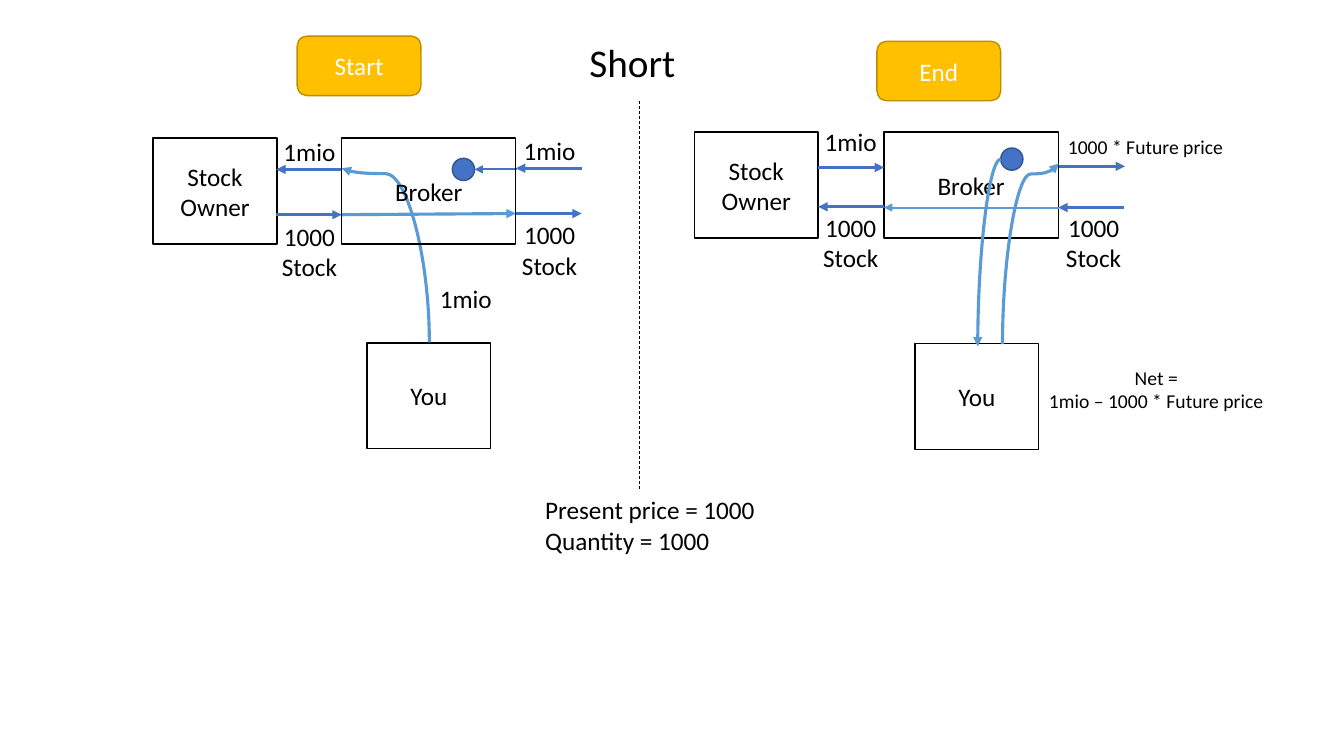
from lxml import etree
from pptx import Presentation
from pptx.dml.color import RGBColor
from pptx.enum.dml import MSO_LINE
from pptx.enum.shapes import MSO_CONNECTOR, MSO_SHAPE
from pptx.enum.text import MSO_ANCHOR, PP_ALIGN
from pptx.oxml.ns import qn
from pptx.util import Cm, Pt

RECT, ROUNDED, OVAL = MSO_SHAPE.RECTANGLE, MSO_SHAPE.ROUNDED_RECTANGLE, MSO_SHAPE.OVAL
STRAIGHT, CURVE = MSO_CONNECTOR.STRAIGHT, MSO_CONNECTOR.CURVE
LEFT, CENTER, MIDDLE = PP_ALIGN.LEFT, PP_ALIGN.CENTER, MSO_ANCHOR.MIDDLE
DASH = MSO_LINE.DASH
TITLE_ONLY = 5

COLORS = {
    "black": "000000", "white": "FFFFFF", "blue": "4472C4", "navy": "325491",
    "sky": "5B9BD5", "gold": "FFC000", "bronze": "BD8E00",
}

# All lengths below are centimetres.
PARTY_SIZE, BROKER_SIZE, BUTTON_SIZE = (3.12, 2.67), (4.39, 2.67), (3.12, 1.5)
DOT_SIZE = (0.56, 0.56)
LABEL_WIDTH = 2.24

TITLE = ("Short", 14.07, 0.84, 3.73, 1.45)
PARTIES = [  # text, left, top, size
    ("Stock Owner", 3.86, 3.48, PARTY_SIZE),
    ("You", 9.25, 8.64, PARTY_SIZE),
    ("Stock Owner", 17.5, 3.33, PARTY_SIZE),
    ("Broker", 22.28, 3.33, BROKER_SIZE),
    ("You", 23.06, 8.66, PARTY_SIZE),
]
START_BROKER = ("Broker", 8.61, 3.48, BROKER_SIZE)
BUTTONS = [("Start", 7.49, 0.91), ("End", 22.1, 1.04)]
DOTS = [(11.4, 3.99), (25.22, 3.73)]

ARROWS = [  # start, end, color, width in points
    ((8.61, 4.27), (6.96, 4.27), "blue", 2.25),
    ((6.96, 5.41), (8.61, 5.41), "blue", 2.25),
    ((14.66, 4.24), (13, 4.24), "blue", 2.25),
    ((13, 5.38), (14.66, 5.38), "blue", 2.25),
    ((22.28, 5.21), (20.62, 5.21), "blue", 2.25),
    ((20.62, 4.22), (22.28, 4.22), "blue", 2.25),
    ((28.32, 5.23), (26.67, 5.23), "blue", 2.25),
    ((26.7, 4.19), (28.35, 4.19), "blue", 2.25),
    ((8.61, 5.41), (13, 5.38), "sky", 2.25),
    ((26.7, 5.23), (22.28, 5.23), "sky", 1.5),
    ((13.03, 4.27), (11.96, 4.27), "blue", 1.5),
]
DIVIDER = ((16.1, 2.54), (16.1, 12.34))
CURVES = [  # frame before turning, rotation, flips, preset, bend in 1/100000
    ((24.64, 4.01, 0.58, 4.72), 180, ("flipV",), "curvedConnector2", None),
    ((7.52, 5.33, 4.39, 2.21), 270, ("flipV",), "curvedConnector3", 96900),
    ((23.7, 5.69, 4.55, 1.42), 90, ("flipH", "flipV"), "curvedConnector3", 94300),
]

CASH, STOCK = ["1mio"], ["1000", "Stock"]
FLOW_LABELS = [  # lines, left, top
    (CASH, 10.62, 7.01), (CASH, 6.68, 3.3), (STOCK, 6.68, 5.44),
    (CASH, 12.73, 3.28), (STOCK, 12.73, 5.41),
    (CASH, 20.32, 3.07), (STOCK, 20.32, 5.23), (STOCK, 26.44, 5.23),
]
NOTES = [  # lines, left, top, width, size in points, alignment
    (["1000 * Future price"], 26.04, 3.28, 5.66, 14, CENTER),
    (["Net =", "1mio – 1000 * Future price"], 26.04, 9.09, 6.2, 14, CENTER),
    (["Present price = 1000", "Quantity = 1000"], 13.49, 12.34, 7.39, 18, LEFT),
]


def color(name):
    return RGBColor.from_string(COLORS[name])


def write(frame, lines, size=18, ink="black", align=CENTER):
    frame.word_wrap = True
    for index, line in enumerate(lines):
        para = frame.add_paragraph() if index else frame.paragraphs[0]
        para.alignment = align
        span = para.add_run()
        span.text = line
        span.font.name = "Calibri"
        span.font.size = Pt(size)
        span.font.color.rgb = color(ink)


def add_box(text, left, top, size, kind=RECT, fill="white", outline="black", ink="black"):
    box = slide.shapes.add_shape(kind, Cm(left), Cm(top), *map(Cm, size))
    box.shadow.inherit = False
    if fill:
        box.fill.solid()
        box.fill.fore_color.rgb = color(fill)
    else:
        box.fill.background()
    box.line.color.rgb = color(outline)
    box.line.width = Pt(1)
    if text:
        box.text_frame.vertical_anchor = MIDDLE
        write(box.text_frame, [text], ink=ink)


def add_label(lines, left, top, width=LABEL_WIDTH, size=18, align=CENTER):
    height = 0.25 + len(lines) * size * 0.043
    box = slide.shapes.add_textbox(Cm(left), Cm(top), Cm(width), Cm(height))
    write(box.text_frame, lines, size=size, align=align)


def add_line(start, end, tint, width, kind=STRAIGHT, dash=None, arrow=True):
    line = slide.shapes.add_connector(kind, *map(Cm, start + end))
    line.line.color.rgb = color(tint)
    line.line.width = Pt(width)
    if dash:
        line.line.dash_style = dash
    properties = line._element.spPr
    if arrow:
        etree.SubElement(properties.find(qn("a:ln")), qn("a:tailEnd"), type="triangle")
    etree.SubElement(properties, qn("a:effectLst"))
    return line


def add_curve(frame, rotation, flips, preset, bend):
    left, top, width, height = frame
    curve = add_line((left, top), (left + width, top + height), "sky", 2.25, kind=CURVE)
    transform = curve._element.spPr.find(qn("a:xfrm"))
    transform.set("rot", str(rotation * 60000))
    for flip in flips:
        transform.set(flip, "1")
    geometry = curve._element.spPr.find(qn("a:prstGeom"))
    geometry.set("prst", preset)
    if bend:
        adjustments = geometry.find(qn("a:avLst"))
        etree.SubElement(adjustments, qn("a:gd"), name="adj1", fmla=f"val {bend}")


deck = Presentation()
deck.slide_width, deck.slide_height = Cm(33.87), Cm(19.05)
slide = deck.slides.add_slide(deck.slide_layouts[TITLE_ONLY])

heading, *title_frame = TITLE
title = slide.shapes.title
title.left, title.top, title.width, title.height = map(Cm, title_frame)
write(title.text_frame, [heading], size=28)

for party in PARTIES:
    add_box(*party)
for text, left, top in BUTTONS:
    add_box(text, left, top, BUTTON_SIZE, kind=ROUNDED, fill="gold", outline="bronze", ink="white")
for left, top in DOTS:
    add_box("", left, top, DOT_SIZE, kind=OVAL, fill="blue", outline="navy")
for arrow in ARROWS:
    add_line(*arrow)
add_line(*DIVIDER, "black", 0.5, dash=DASH, arrow=False)
for curve in CURVES:
    add_curve(*curve)
add_box(*START_BROKER, fill=None)
for label in FLOW_LABELS + NOTES:
    add_label(*label)

deck.save("out.pptx")
